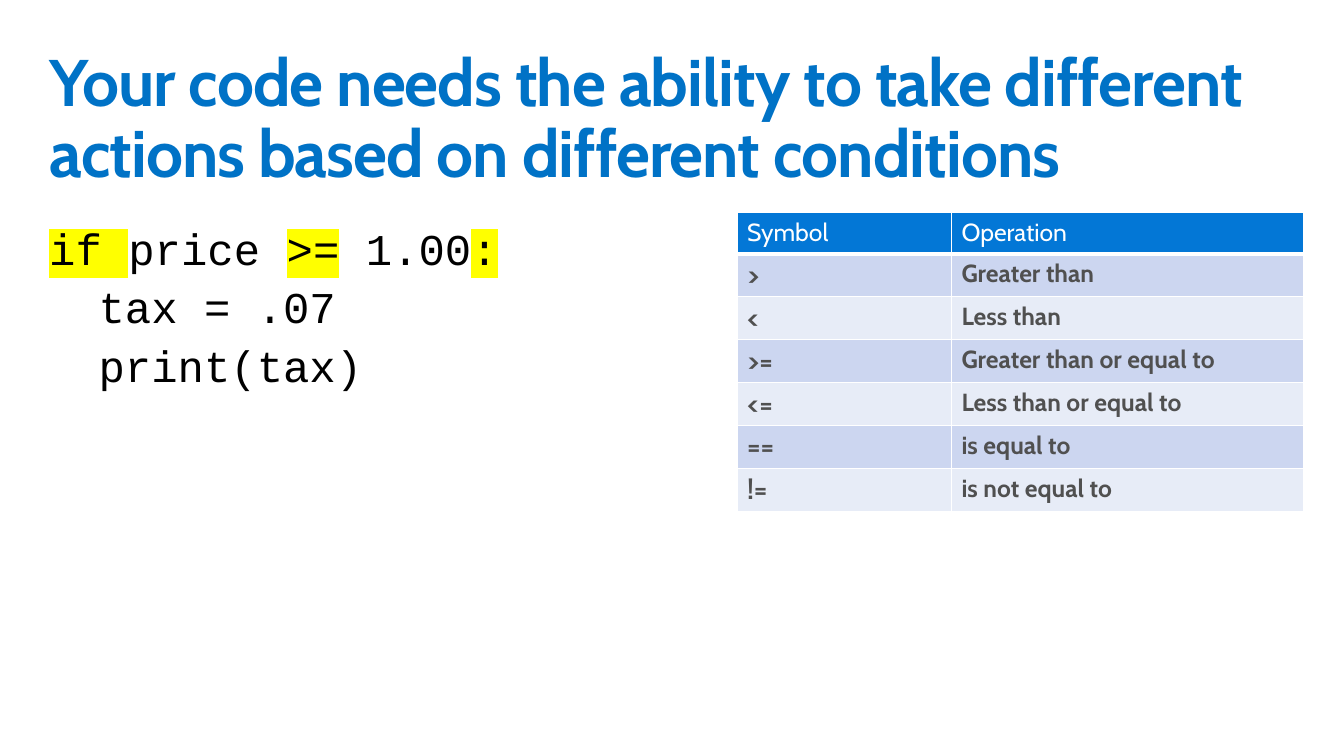
from dataclasses import dataclass

from lxml import etree
from pptx import Presentation
from pptx.dml.color import RGBColor
from pptx.oxml.ns import qn
from pptx.util import Inches, Pt


@dataclass(frozen=True)
class Theme:
    """Colours, fonts and type sizes of the slide."""
    title: str = "0072C6"
    code: str = "000000"
    highlight: str = "FFFF00"
    header: str = "0377D6"
    header_text: str = "FFFFFF"
    cell_text: str = "505050"
    border: str = "FFFFFF"
    bands: tuple = ("CCD6F0", "E7ECF7")
    font: str = "Cabin"
    code_font: str = "Courier New"
    title_size: int = 48
    code_size: int = 32
    symbol_size: int = 20
    cell_size: int = 18


THEME = Theme()
TITLE = "Your code needs the ability to take different actions based on different conditions"
CODE_LINES = [
    [("if ", True), ("price ", False), (">=", True), (" 1.00", False), (":", True)],
    [("\ttax = .07", False)],
    [("\tprint(tax)", False)],
]
HEADINGS = ("Symbol", "Operation")
OPERATIONS = [
    (">", "Greater than"),
    ("<", "Less than"),
    (">=", "Greater than or equal to"),
    ("<=", "Less than or equal to"),
    ("==", "is equal to"),
    ("!=", "is not equal to"),
]


def style_font(font, name, size, color, bold=False):
    """Set the face, size, colour and weight of a font."""
    font.name = name
    font.size = Pt(size)
    font.color.rgb = RGBColor.from_string(color)
    font.bold = bold


def highlight(span, color):
    """Put a marker colour behind a run."""
    marker = etree.Element(qn("a:highlight"))
    etree.SubElement(marker, qn("a:srgbClr"), val=color)
    span._r.get_or_add_rPr().find(qn("a:solidFill")).addnext(marker)


def add_text_box(page, left, top, width, height):
    """Add a wrapping text box with even insets and return its text frame."""
    frame = page.shapes.add_textbox(
        Inches(left), Inches(top), Inches(width), Inches(height)).text_frame
    frame.word_wrap = True
    frame.margin_left = frame.margin_right = Inches(0.1)
    frame.margin_top = frame.margin_bottom = Inches(0.1)
    return frame


def add_title(page):
    """Add the slide heading."""
    frame = add_text_box(page, 0.4, 0.4, 12.8, 1)
    frame.text = TITLE
    para = frame.paragraphs[0]
    para.line_spacing = 0.9
    span = para.runs[0]
    style_font(span.font, THEME.font, THEME.title_size, THEME.title, True)
    span._r.get_or_add_rPr().set("spc", "-70")


def add_code(page, lines):
    """Add the code sample with its marked parts."""
    frame = add_text_box(page, 0.4, 2.2, 6.8, 1.8)
    for index, line in enumerate(lines):
        para = frame.add_paragraph() if index else frame.paragraphs[0]
        para.line_spacing = 0.9
        para.space_before = Pt(8 if index else 0)
        for text, marked in line:
            span = para.add_run()
            span.text = text
            style_font(span.font, THEME.code_font, THEME.code_size, THEME.code)
            if marked:
                highlight(span, THEME.highlight)


def set_borders(cell, bottom_width):
    """Draw the four borders of a table cell."""
    widths = {"a:lnL": 1, "a:lnR": 1, "a:lnT": 1, "a:lnB": bottom_width}
    properties = cell._tc.get_or_add_tcPr()
    for index, (side, width) in enumerate(widths.items()):
        line = etree.Element(qn(side), w=str(Pt(width)))
        fill = etree.SubElement(line, qn("a:solidFill"))
        etree.SubElement(fill, qn("a:srgbClr"), val=THEME.border)
        properties.insert(index, line)


def fill_cell(cell, text, size, color, fill, bold, bottom_width):
    """Write and format one table cell."""
    cell.text = text
    style_font(cell.text_frame.paragraphs[0].runs[0].font, THEME.font, size, color, bold)
    cell.fill.solid()
    cell.fill.fore_color.rgb = RGBColor.from_string(fill)
    set_borders(cell, bottom_width)


def add_operations_table(page):
    """Add the table of comparison operators."""
    row_count = len(OPERATIONS) + 1
    table = page.shapes.add_table(
        row_count, len(HEADINGS), Inches(7.46), Inches(2.15),
        Inches(5.73), Inches(0.42 * row_count)).table
    for column, width in zip(table.columns, (2.17, 3.56)):
        column.width = Inches(width)
    for column, heading in enumerate(HEADINGS):
        fill_cell(table.cell(0, column), heading, THEME.cell_size,
                  THEME.header_text, THEME.header, False, 3)
    for row, texts in enumerate(OPERATIONS, 1):
        band = THEME.bands[(row - 1) % 2]
        sizes = (THEME.symbol_size, THEME.cell_size)
        for column, (text, size) in enumerate(zip(texts, sizes)):
            fill_cell(table.cell(row, column), text, size, THEME.cell_text, band, True, 1)


def main():
    """Build and save the slide."""
    deck = Presentation()
    deck.slide_width = Inches(13.6)
    deck.slide_height = Inches(7.65)
    page = deck.slides.add_slide(deck.slide_layouts[6])
    add_title(page)
    add_code(page, CODE_LINES)
    add_operations_table(page)
    deck.save("out.pptx")


if __name__ == "__main__":
    main()
